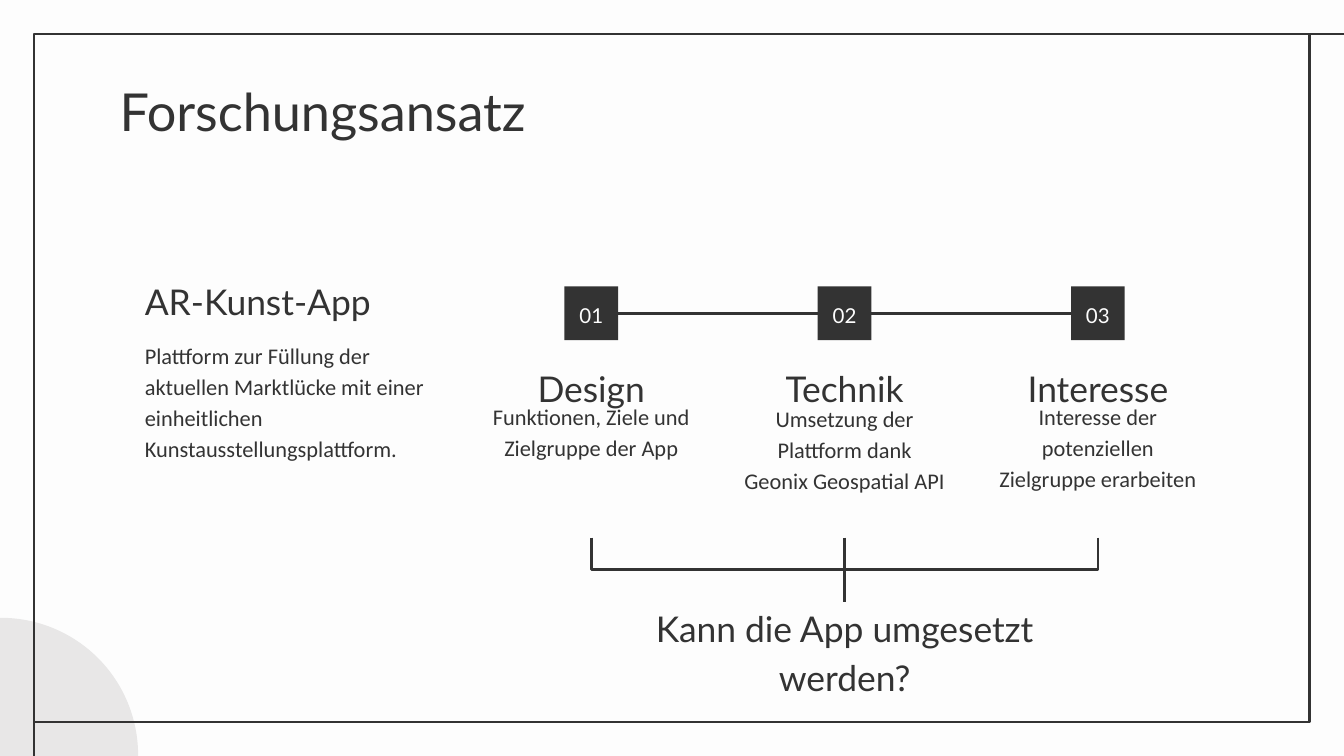
from lxml import etree
from pptx import Presentation
from pptx.dml.color import RGBColor
from pptx.enum import shapes, text
from pptx.oxml.ns import qn
from pptx.util import Pt

DARK, LIGHT, GREY = "333333", "FDFDFD", "E8E7E7"
HEADING = {"name": "Lato", "size": Pt(19)}
BODY = {"name": "Calibri", "size": Pt(12)}
NUMBER = {"name": "Lato", "size": Pt(11)}
LEFT, CENTER = text.PP_ALIGN.LEFT, text.PP_ALIGN.CENTER
TOP, MIDDLE, BOTTOM = text.MSO_ANCHOR.TOP, text.MSO_ANCHOR.MIDDLE, text.MSO_ANCHOR.BOTTOM
STRAIGHT, ELBOW = shapes.MSO_CONNECTOR.STRAIGHT, shapes.MSO_CONNECTOR.ELBOW


def write(shape, wording, font, anchor=TOP, align=LEFT, color=DARK, spacing=1.15):
    frame = shape.text_frame
    margins = {f"margin_{side}": Pt(7.2) for side in ("left", "top", "right", "bottom")}
    for name, value in {"word_wrap": True, "vertical_anchor": anchor, **margins}.items():
        setattr(frame, name, value)
    paragraph = frame.paragraphs[0]
    paragraph.text = wording
    paragraph.alignment = align
    paragraph.line_spacing = spacing
    for name, value in font.items():
        setattr(paragraph.font, name, value)
    paragraph.font.color.rgb = RGBColor.from_string(color)


def add_line(kind, *ends):
    """Add a dark connector without shadow; ends are x1, y1, x2, y2 in points."""
    line = slide.shapes.add_connector(kind, *map(Pt, ends))
    line.line.color.rgb = RGBColor.from_string(DARK)
    line.line.width = Pt(1.5)
    etree.SubElement(line._element.spPr, qn("a:effectLst"))
    return line


presentation = Presentation()
presentation.slide_width, presentation.slide_height = Pt(720), Pt(405)
slide = presentation.slides.add_slide(presentation.slide_layouts[6])
slide.background.fill.solid()
slide.background.fill.fore_color.rgb = RGBColor.from_string(LIGHT)

# Corner circle and frame, with two ticks that run to the slide edge
circle = slide.shapes.add_shape(
    shapes.MSO_SHAPE.OVAL, Pt(-73), Pt(331), Pt(147), Pt(147))
circle.shadow.inherit = False
circle.fill.solid()
circle.fill.fore_color.rgb = RGBColor.from_string(GREY)
circle.line.fill.background()

frame_box = slide.shapes.add_shape(
    shapes.MSO_SHAPE.RECTANGLE, Pt(18.2), Pt(18.2), Pt(683.3), Pt(368.6))
frame_box.shadow.inherit = False
frame_box.fill.background()
frame_box.line.color.rgb = RGBColor.from_string(DARK)
frame_box.line.width = Pt(1.5)
add_line(STRAIGHT, 720, 18.2, 701.5, 18.2)
add_line(STRAIGHT, 18.2, 405, 18.2, 385)

# Title and introduction
title = slide.shapes.add_textbox(Pt(57), Pt(35.5), Pt(607), Pt(45))
write(title, "Forschungsansatz", {"name": "Lato", "size": Pt(28)}, spacing=1)
app_name = slide.shapes.add_textbox(Pt(70.5), Pt(147.5), Pt(173.5), Pt(32.4))
write(app_name, "AR-Kunst-App", HEADING, BOTTOM)
app_text = slide.shapes.add_textbox(Pt(70.5), Pt(174.2), Pt(173.5), Pt(127))
write(app_text, "Plattform zur Füllung der aktuellen Marktlücke mit einer "
      "einheitlichen Kunstausstellungsplattform.", BODY)

# Three numbered steps on one line
first_center, step_gap = 316.8, 135.7
centers = [first_center + step_gap * index for index in range(3)]
square, square_top, step_width = 28.8, 153.4, 122.4
bracket_top, bracket_bottom = 288, 322.6
steps = [
    ("Design", "Funktionen, Ziele und Zielgruppe der App", 206.6),
    ("Technik", "Umsetzung der Plattform dank Geonix Geospatial API", 207.8),
    ("Interesse", "Interesse der potenziellen Zielgruppe erarbeiten", 206.6),
]
timeline = add_line(STRAIGHT, centers[0], 167.8, centers[-1], 167.8)
squares, captions = [], []
for number, (center, (heading, caption, caption_top)) in enumerate(zip(centers, steps), 1):
    left = Pt(center - step_width / 2)
    heading_box = slide.shapes.add_textbox(left, Pt(194.4), Pt(step_width), Pt(32.4))
    write(heading_box, heading, HEADING, BOTTOM, CENTER)
    caption_box = slide.shapes.add_textbox(
        left, Pt(caption_top), Pt(step_width), Pt(bracket_top - caption_top))
    write(caption_box, caption, BODY, TOP, CENTER)
    captions.append(caption_box)

    number_box = slide.shapes.add_shape(
        shapes.MSO_SHAPE.RECTANGLE, Pt(center - square / 2), Pt(square_top),
        Pt(square), Pt(square))
    number_box.shadow.inherit = False
    number_box.fill.solid()
    number_box.fill.fore_color.rgb = RGBColor.from_string(DARK)
    number_box.line.fill.background()
    write(number_box, f"{number:02}", NUMBER, MIDDLE, CENTER, LIGHT)
    squares.append(number_box)
timeline.begin_connect(squares[0], 3)
timeline.end_connect(squares[-1], 1)

# Question that the steps lead to
middle = centers[1]
question = slide.shapes.add_textbox(
    Pt(middle - 135), Pt(bracket_bottom), Pt(270), Pt(59))
write(question, "Kann die App umgesetzt werden?", HEADING, BOTTOM, CENTER)
stem = add_line(STRAIGHT, middle, bracket_top, middle, bracket_bottom)
stem.begin_connect(captions[1], 2)
stem.end_connect(question, 0)

# An elbow runs sideways first; a quarter turn makes it leave downwards
half_drop = (bracket_bottom - bracket_top) / 2
half_run = step_gap / 2
bracket_middle = bracket_top + half_drop
for side, quarter_turns in ((-1, 3), (1, 1)):
    center = middle + side * half_run
    elbow = add_line(ELBOW, center - side * half_drop, bracket_middle - half_run,
                     center + side * half_drop, bracket_middle + half_run)
    elbow._element.spPr.find(qn("a:xfrm")).set("rot", str(quarter_turns * 5400000))

presentation.save("out.pptx")
